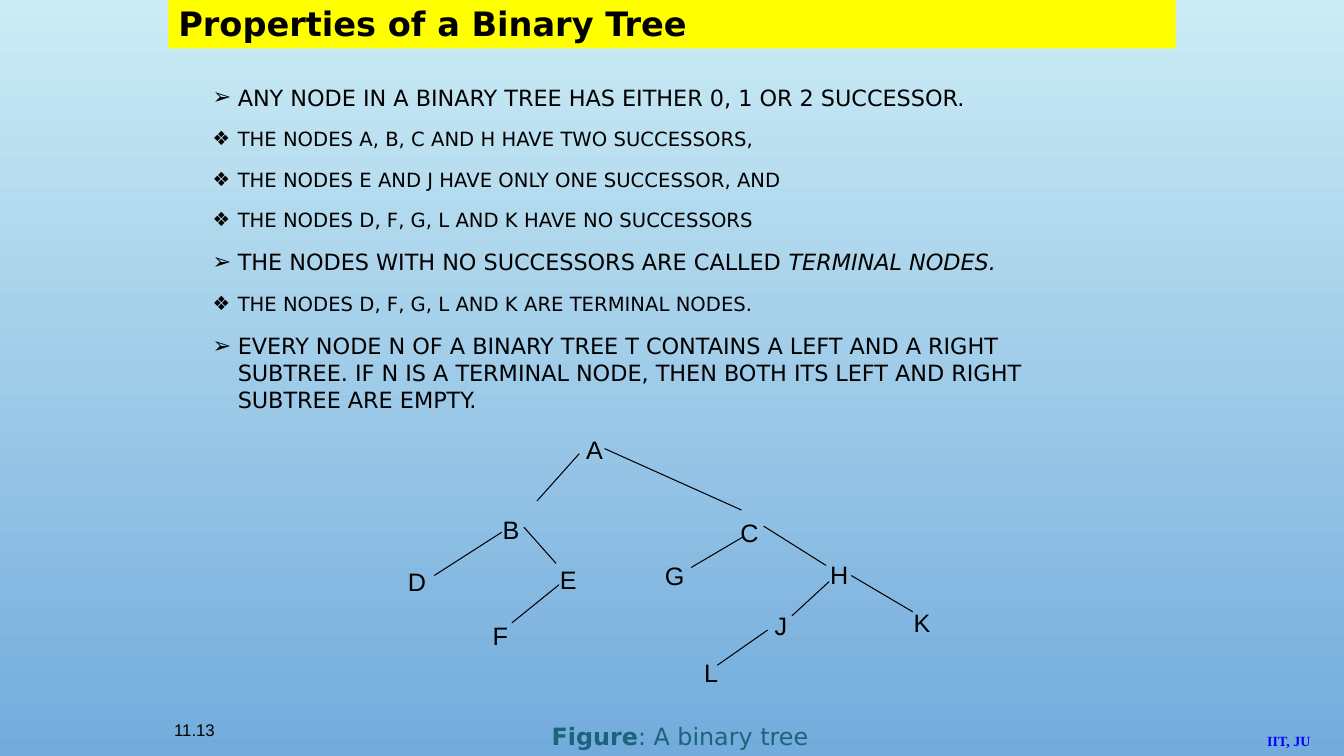
"""Build the slide on the properties of a binary tree."""
from pptx import Presentation
from pptx.dml.color import RGBColor
from pptx.enum.shapes import MSO_CONNECTOR
from pptx.enum.text import MSO_ANCHOR, MSO_AUTO_SIZE, PP_ALIGN
from pptx.oxml.ns import qn
from pptx.util import Inches, Pt
from lxml.etree import SubElement


def color(code):
    return RGBColor.from_string(code)


def write(para, text, size, face="DejaVu Sans", code="000000", bold=False, slant=False):
    run = para.add_run()
    run.text = text
    font = run.font
    font.size, font.name, font.bold, font.italic = Pt(size), face, bold, slant
    font.color.rgb = color(code)


deck = Presentation()
deck.slide_width, deck.slide_height = Inches(13.34), Inches(7.5)
slide = deck.slides.add_slide(deck.slide_layouts[1])
shapes = slide.shapes

back = slide.background.fill
back.gradient()
back.gradient_angle = 270
for stop, code, place in zip(back.gradient_stops, ("CBECF5", "73ABDC"), (0, 1)):
    stop.color.rgb = color(code)
    stop.position = place

title, body = shapes.title, slide.placeholders[1]
for holder, spot, anchor in (
    (title, (1.67, -0.02, 10, 0.5), MSO_ANCHOR.MIDDLE),
    (body, (2.01, 0.78, 9.05, 3.47), MSO_ANCHOR.TOP),
):
    holder.left, holder.top, holder.width, holder.height = map(Inches, spot)
    frame = holder.text_frame
    frame.word_wrap = True
    frame.auto_size = MSO_AUTO_SIZE.NONE
    frame.vertical_anchor = anchor

title.fill.solid()
title.fill.fore_color.rgb = color("FFFF00")
head = title.text_frame.paragraphs[0]
head.alignment = PP_ALIGN.LEFT
write(head, "Properties of a Binary Tree", 24, bold=True)

marks = {16: "➢", 14: "❖"}
points = [
    (16, "ANY NODE IN A BINARY TREE HAS EITHER 0, 1 OR 2 SUCCESSOR.", ""),
    (14, "THE NODES A, B, C AND H HAVE TWO SUCCESSORS,", ""),
    (14, "THE NODES E AND J HAVE ONLY ONE SUCCESSOR, AND", ""),
    (14, "THE NODES D, F, G, L AND K HAVE NO SUCCESSORS", ""),
    (16, "THE NODES WITH NO SUCCESSORS ARE CALLED ", "TERMINAL NODES."),
    (14, "THE NODES D, F, G, L AND K ARE TERMINAL NODES.", ""),
    (16, "EVERY NODE N OF A BINARY TREE T CONTAINS A LEFT AND A RIGHT SUBTREE. "
         "IF N IS A TERMINAL NODE, THEN BOTH ITS LEFT AND RIGHT SUBTREE ARE EMPTY.", ""),
]
frame = body.text_frame
for rank, (size, text, term) in enumerate(points):
    para = frame.add_paragraph() if rank else frame.paragraphs[0]
    para.space_before = Pt(6 if rank else 0)
    para.space_after = Pt(6)
    props = para._p.get_or_add_pPr()
    props.set("marL", str(Inches(0.25)))
    props.set("indent", str(Inches(-0.25)))
    tint = SubElement(props, qn("a:buClr"))
    SubElement(tint, qn("a:srgbClr"), val="000000")
    SubElement(props, qn("a:buFont"), typeface="DejaVu Sans")
    SubElement(props, qn("a:buChar"), char=marks[size])
    write(para, text, size)
    if term:
        write(para, term, size, slant=True)

edges = [
    (5.75, 4.5, 5.33, 4.97), (6, 4.45, 7.36, 5.06),
    (4.98, 5.28, 4.31, 5.71), (5.2, 5.23, 5.52, 5.59),
    (5.55, 5.8, 5.08, 6.18), (7.37, 5.33, 6.86, 5.63),
    (7.58, 5.22, 8.2, 5.61), (8.23, 5.77, 7.86, 6.11),
    (7.62, 6.25, 7.12, 6.6), (8.45, 5.71, 9.06, 6.07),
]
for ends in edges:
    edge = shapes.add_connector(MSO_CONNECTOR.STRAIGHT, *map(Inches, ends))
    edge.line.color.rgb = color("000000")
    edge.line.width = Pt(0.75)
    SubElement(edge._element.spPr, qn("a:effectLst"))

nodes = {
    "A": (5.72, 4.26), "B": (4.89, 5.05), "C": (7.25, 5.08), "D": (3.95, 5.57),
    "E": (5.46, 5.55), "F": (4.79, 6.11), "G": (6.5, 5.51), "H": (8.14, 5.5),
    "J": (7.59, 6.01), "K": (8.97, 5.98), "L": (6.89, 6.47),
}
labels = [((*spot, 0.38, 0.4), PP_ALIGN.LEFT, [(name, 18, "Arial")])
          for name, spot in nodes.items()]
labels += [
    ((1.63, 7.09, 0.92, 0.41), PP_ALIGN.LEFT, [("11.13", 12, "Arial")]),
    ((4.96, 7.11, 3.58, 0.39), PP_ALIGN.CENTER,
     [("Figure", 17, "DejaVu Sans", "1C647B", True),
      (": A binary tree", 17, "DejaVu Sans", "1C647B")]),
    ((12.48, 7.22, 1.22, 0.27), PP_ALIGN.LEFT,
     [("IIT, JU", 10, "Times New Roman", "0000FF", True)]),
]
for spot, align, runs in labels:
    frame = shapes.add_textbox(*map(Inches, spot)).text_frame
    frame.word_wrap = True
    para = frame.paragraphs[0]
    para.alignment = align
    for run in runs:
        write(para, *run)

deck.save("out.pptx")
